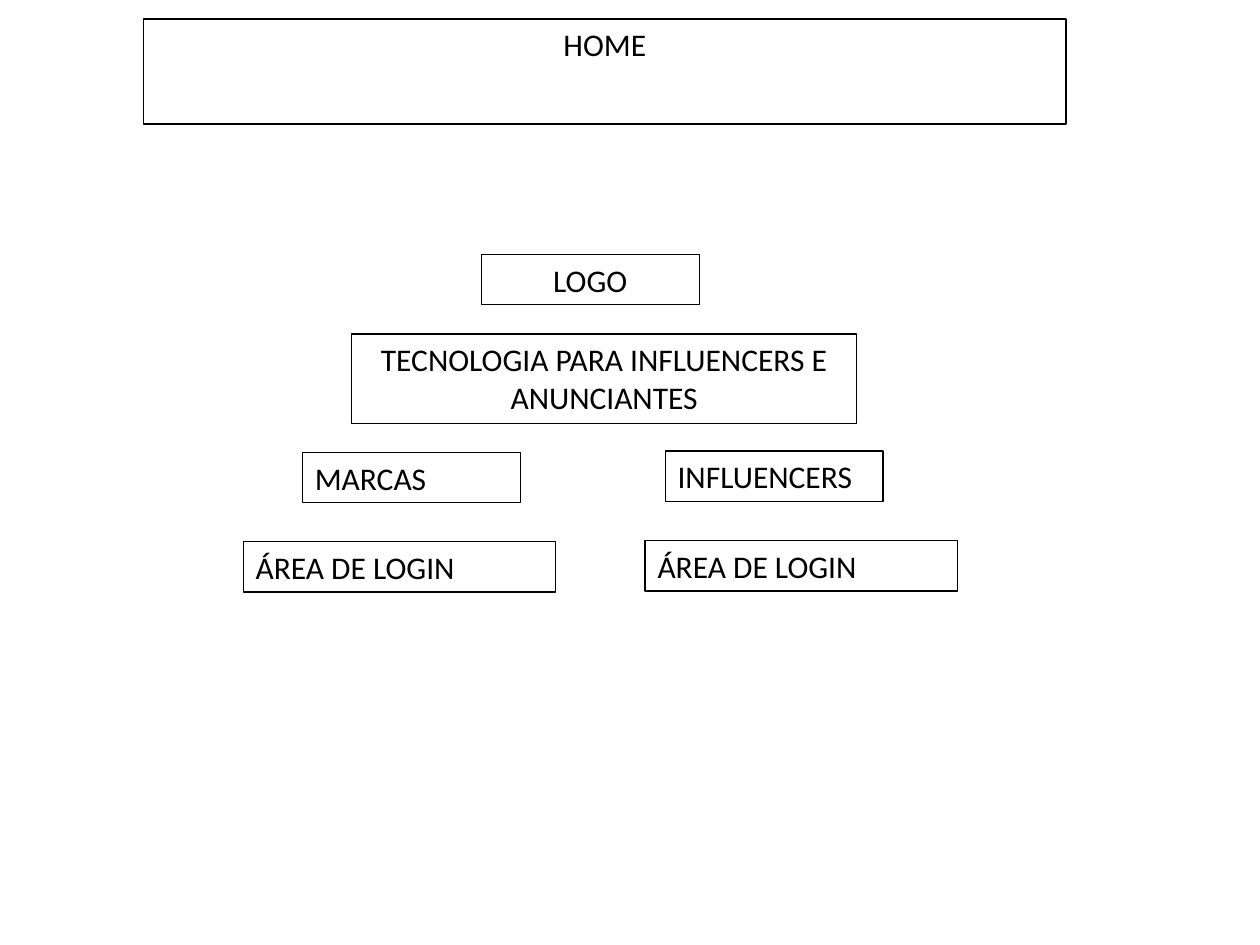
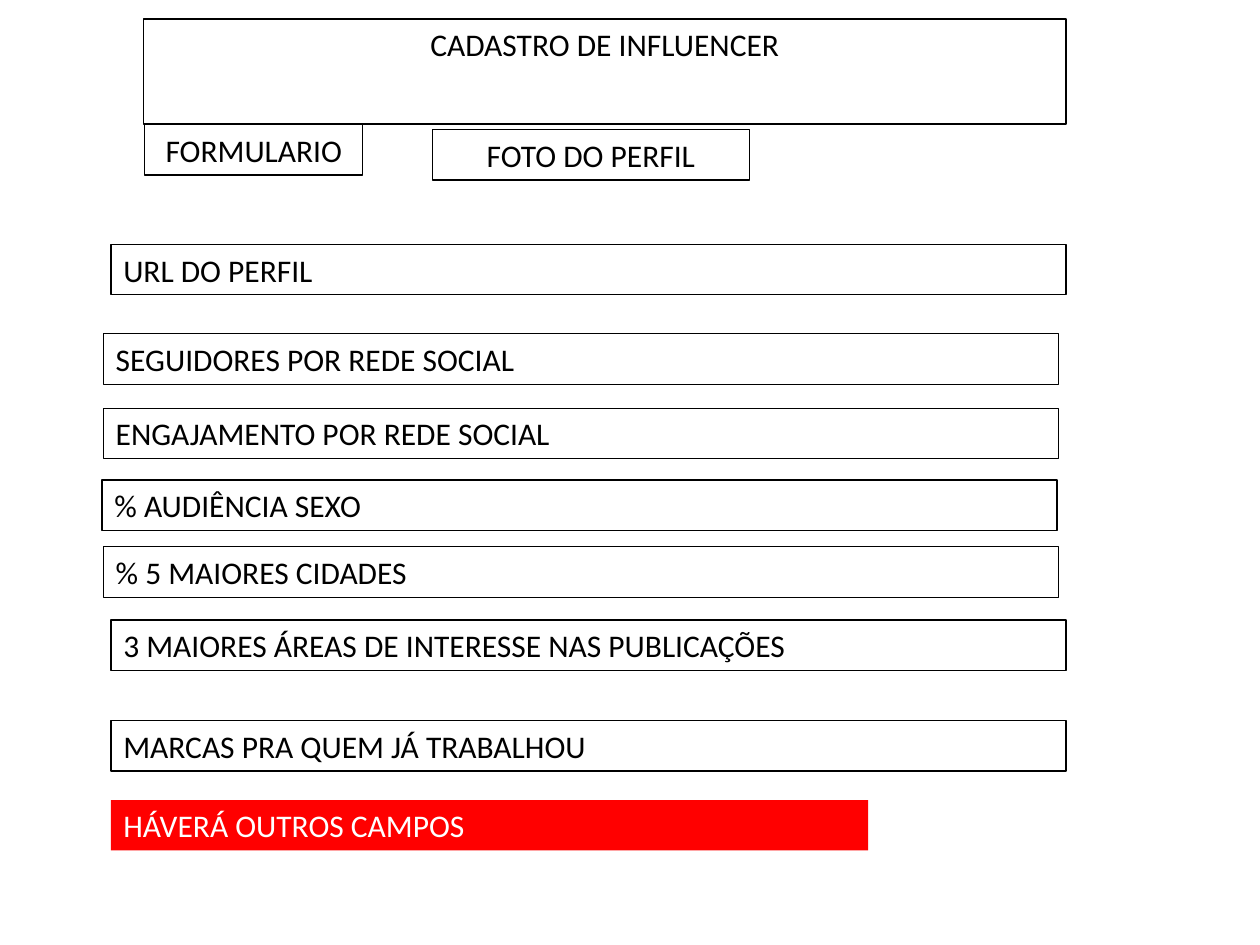
from collections import namedtuple

from pptx import Presentation
from pptx.dml.color import RGBColor
from pptx.enum.text import MSO_ANCHOR, MSO_AUTO_SIZE, PP_ALIGN
from pptx.util import Inches, Pt

LEFT, CENTER = PP_ALIGN.LEFT, PP_ALIGN.CENTER
TOP = MSO_ANCHOR.TOP
GROW = MSO_AUTO_SIZE.SHAPE_TO_FIT_TEXT

COLORS = {"ink": "000000", "paper": "FFFFFF", "alert": "FF0000"}
FONT = "Calibri"
TITLE_ONLY = 5

# Shared sizes, in inches
SLIDE_WIDTH, SLIDE_HEIGHT = 10, 7.5
ROW = 0.4           # height of a one-line box
BUTTON = 1.73       # width of a short box

Box = namedtuple("Box", "left top width height")
TITLE_BOX = Box(1.14, 0.15, 7.32, ROW)


def color(name):
    return RGBColor.from_string(COLORS[name])


def within(region, left, top, width, height=ROW):
    """Place a box by its offset from the corner of a region."""
    return Box(region.left + left, region.top + top, width, height)


def write(shape, text, align=LEFT, ink="ink", size=18):
    frame = shape.text_frame
    frame.word_wrap = True
    frame.auto_size = GROW
    frame.vertical_anchor = TOP
    frame.margin_left = frame.margin_right = Inches(0.1)
    frame.margin_top = frame.margin_bottom = Inches(0.05)
    paragraph = frame.paragraphs[0]
    paragraph.alignment = align
    paragraph.line_spacing = 1.0
    paragraph.space_before = Pt(0)
    run = paragraph.add_run()
    run.text = text
    run.font.name = FONT
    run.font.size = Pt(size)
    run.font.color.rgb = color(ink)


def outline(shape):
    shape.fill.background()
    shape.line.color.rgb = color("ink")
    shape.line.width = Pt(0.75)


def add_box(slide, box, text, fill=None, **text_format):
    shape = slide.shapes.add_textbox(*map(Inches, box))
    if fill:
        shape.fill.solid()
        shape.fill.fore_color.rgb = color(fill)
        shape.line.fill.background()
    else:
        outline(shape)
    write(shape, text, **text_format)


def add_titled_slide(presentation, text):
    slide = presentation.slides.add_slide(presentation.slide_layouts[TITLE_ONLY])
    title = slide.shapes.title
    title.left, title.top, title.width, title.height = map(Inches, TITLE_BOX)
    outline(title)
    write(title, text, align=CENTER)
    return slide


def add_hero(slide, region):
    """Logo box above the slogan, which fills the region's width."""
    add_box(slide, within(region, 1.03, 0, BUTTON), "LOGO", align=CENTER)
    add_box(slide, within(region, 0, 0.63, region.width, 0.71),
            "TECNOLOGIA PARA INFLUENCERS E ANUNCIANTES", align=CENTER)


def add_audience(slide, region, name, indent):
    """Audience button above its login area."""
    add_box(slide, within(region, indent, 0, BUTTON), name)
    add_box(slide, within(region, 0, 0.71, region.width), "ÁREA DE LOGIN")


def add_form_header(slide, region):
    add_box(slide, within(region, 0, 0, BUTTON), "FORMULARIO", align=CENTER)
    add_box(slide, within(region, 2.28, 0.04, 2.52), "FOTO DO PERFIL",
            align=CENTER)


def add_form_fields(slide, region):
    """Full-width fields, each with its own offset, and a closing note."""
    fields = [
        ("URL DO PERFIL", 0.07, 0),
        ("SEGUIDORES POR REDE SOCIAL", 0.01, 0.71),
        ("ENGAJAMENTO POR REDE SOCIAL", 0.01, 1.3),
        ("% AUDIÊNCIA SEXO", 0, 1.87),
        ("% 5 MAIORES CIDADES", 0.01, 2.4),
        ("3 MAIORES ÁREAS DE INTERESSE NAS PUBLICAÇÕES", 0.07, 2.98),
        ("MARCAS PRA QUEM JÁ TRABALHOU", 0.07, 3.78),
    ]
    for text, left, top in fields:
        add_box(slide, within(region, left, top, region.width), text)
    add_box(slide, within(region, 0.07, region.height - ROW, 6.01),
            "HÁVERÁ OUTROS CAMPOS", fill="alert", ink="paper")


def build_home(presentation):
    slide = add_titled_slide(presentation, "HOME")
    add_hero(slide, Box(2.79, 2.02, 4.01, 1.34))
    add_audience(slide, Box(1.93, 3.59, 2.48, 1.11), "MARCAS", indent=0.47)
    add_audience(slide, Box(5.12, 3.58, 2.48, 1.11), "INFLUENCERS", indent=0.16)


def build_registration(presentation):
    slide = add_titled_slide(presentation, "CADASTRO DE INFLUENCER")
    add_form_header(slide, Box(1.15, 0.99, 4.8, 0.44))
    add_form_fields(slide, Box(0.81, 1.94, 7.58, 4.81))


presentation = Presentation()
presentation.slide_width = Inches(SLIDE_WIDTH)
presentation.slide_height = Inches(SLIDE_HEIGHT)
build_home(presentation)
build_registration(presentation)
presentation.save("out.pptx")
